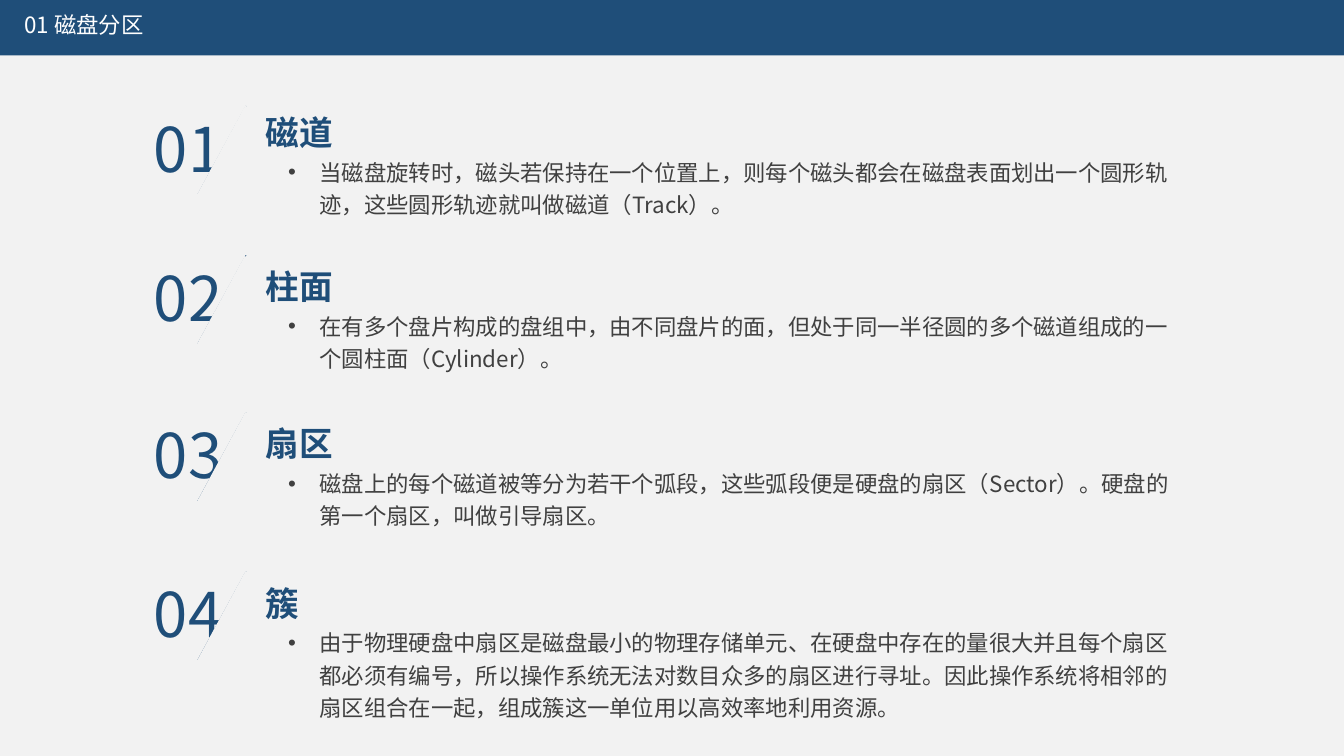
from dataclasses import dataclass

from lxml.etree import SubElement
from pptx import Presentation
from pptx.dml.color import RGBColor
from pptx.enum.shapes import MSO_CONNECTOR, MSO_SHAPE
from pptx.enum.text import MSO_ANCHOR, MSO_AUTO_SIZE, PP_ALIGN
from pptx.oxml.ns import qn
from pptx.shapes.autoshape import Shape
from pptx.slide import Slide
from pptx.util import Cm, Pt

FONT = "Noto Sans CJK SC"
COLORS = {"navy": "1F4E79", "paper": "F2F2F2", "text": "404040", "white": "FFFFFF"}


@dataclass
class Term:
    name: str
    text: str
    top: float
    head_top: float
    name_w: float
    text_h: float
    mask_w: float
    mask_dy: float


TERMS = [
    Term("磁道", "当磁盘旋转时，磁头若保持在一个位置上，则每个磁头都会在磁盘表面划出一个圆形轨迹，"
         "这些圆形轨迹就叫做磁道（Track）。", 2.67, 2.39, 2.24, 1.9, 1.09, 0.07),
    Term("柱面", "在有多个盘片构成的盘组中，由不同盘片的面，但处于同一半径圆的多个磁道组成的"
         "一个圆柱面（Cylinder）。", 6.43, 6.27, 2.24, 1.83, 0.91, 0.05),
    Term("扇区", "磁盘上的每个磁道被等分为若干个弧段，这些弧段便是硬盘的扇区（Sector）。"
         "硬盘的第一个扇区，叫做引导扇区。", 10.39, 10.24, 2.24, 1.83, 1.24, 0.1),
    Term("簇", "由于物理硬盘中扇区是磁盘最小的物理存储单元、在硬盘中存在的量很大并且每个扇区"
         "都必须有编号，所以操作系统无法对数目众多的扇区进行寻址。因此操作系统将相邻的扇区"
         "组合在一起，组成簇这一单位用以高效率地利用资源。", 14.4, 14.25, 1.37, 2.64, 1.24, 0.1),
]


def rgb(name: str) -> RGBColor:
    return RGBColor.from_string(COLORS[name])


def place(sp: Shape, x: float, y: float, w: float, h: float) -> None:
    sp.left, sp.top, sp.width, sp.height = Cm(x), Cm(y), Cm(w), Cm(h)


def write(sp: Shape, text: str, *, size: int, color: str, bold: bool = False,
          spacing: float = 1.0, before: int = 0, wrap: bool = True, grow: bool = True,
          anchor: MSO_ANCHOR = MSO_ANCHOR.TOP, bullet: bool = False) -> None:
    tf = sp.text_frame
    tf.word_wrap = wrap
    tf.auto_size = MSO_AUTO_SIZE.SHAPE_TO_FIT_TEXT if grow else MSO_AUTO_SIZE.NONE
    tf.vertical_anchor = anchor
    p = tf.paragraphs[0]
    p.alignment = PP_ALIGN.LEFT
    p.line_spacing = spacing
    p.space_before = Pt(before)
    r = p.add_run()
    r.text = text
    r.font.size = Pt(size)
    r.font.bold = bold
    r.font.name = FONT
    r.font.color.rgb = rgb(color)
    SubElement(r.font._element, qn("a:ea")).set("typeface", FONT)
    if bullet:
        pPr = p._p.get_or_add_pPr()
        pPr.set("marL", str(Cm(0.79)))
        pPr.set("indent", str(Cm(-0.79)))
        SubElement(pPr, qn("a:buFont")).set("typeface", "Arial")
        SubElement(pPr, qn("a:buChar")).set("char", "•")


def add_rect(s: Slide, x: float, y: float, w: float, h: float, color: str) -> Shape:
    sp = s.shapes.add_shape(MSO_SHAPE.RECTANGLE, Cm(x), Cm(y), Cm(w), Cm(h))
    sp.shadow.inherit = False
    sp.fill.solid()
    sp.fill.fore_color.rgb = rgb(color)
    sp.line.fill.background()
    return sp


def add_text(s: Slide, x: float, y: float, w: float, h: float) -> Shape:
    return s.shapes.add_textbox(Cm(x), Cm(y), Cm(w), Cm(h))


def add_slash(s: Slide, top: float) -> None:
    line = s.shapes.add_connector(MSO_CONNECTOR.STRAIGHT, Cm(4.98), Cm(top + 2.24),
                                  Cm(6.2), Cm(top))
    line.line.color.rgb = rgb("navy")
    line.line.width = Pt(0.5)
    SubElement(line._element.spPr, qn("a:effectLst"))


def add_term(s: Slide, number: int, term: Term) -> None:
    write(add_text(s, 3.63, term.top, 2.34, 2.13), f"{number:02}",
          size=44, color="navy", wrap=False)
    add_slash(s, term.top)
    mask = add_rect(s, 5.38, term.top + term.mask_dy, term.mask_w, 3.07, "paper")
    mask.rotation = 208.4
    head = add_text(s, 6.45, term.head_top, term.name_w, 1.45)
    write(head, term.name, size=24, color="navy", bold=True, spacing=1.3, wrap=False)
    body = s.placeholders[number]
    place(body, 7.01, term.head_top + 1.35, 22.78, term.text_h)
    write(body, term.text, size=16, color="text", spacing=1.2, before=6, bullet=True)
    head.element.addnext(body.element)


def main() -> None:
    prs = Presentation()
    prs.slide_width, prs.slide_height = Cm(33.87), Cm(19.05)
    s = prs.slides.add_slide(prs.slide_layouts.get_by_name("Comparison"))
    s.background.fill.solid()
    s.background.fill.fore_color.rgb = rgb("paper")
    title = s.shapes.title
    place(title, 0.36, 0.23, 33.2, 0.84)
    write(title, "01 磁盘分区", size=16, color="white", spacing=0.9, before=10,
          grow=False, anchor=MSO_ANCHOR.MIDDLE)
    bar = add_rect(s, 0, 0, 33.87, 1.4, "navy")
    title.element.addprevious(bar.element)
    for number, term in enumerate(TERMS, 1):
        add_term(s, number, term)
    prs.save("out.pptx")


if __name__ == "__main__":
    main()
